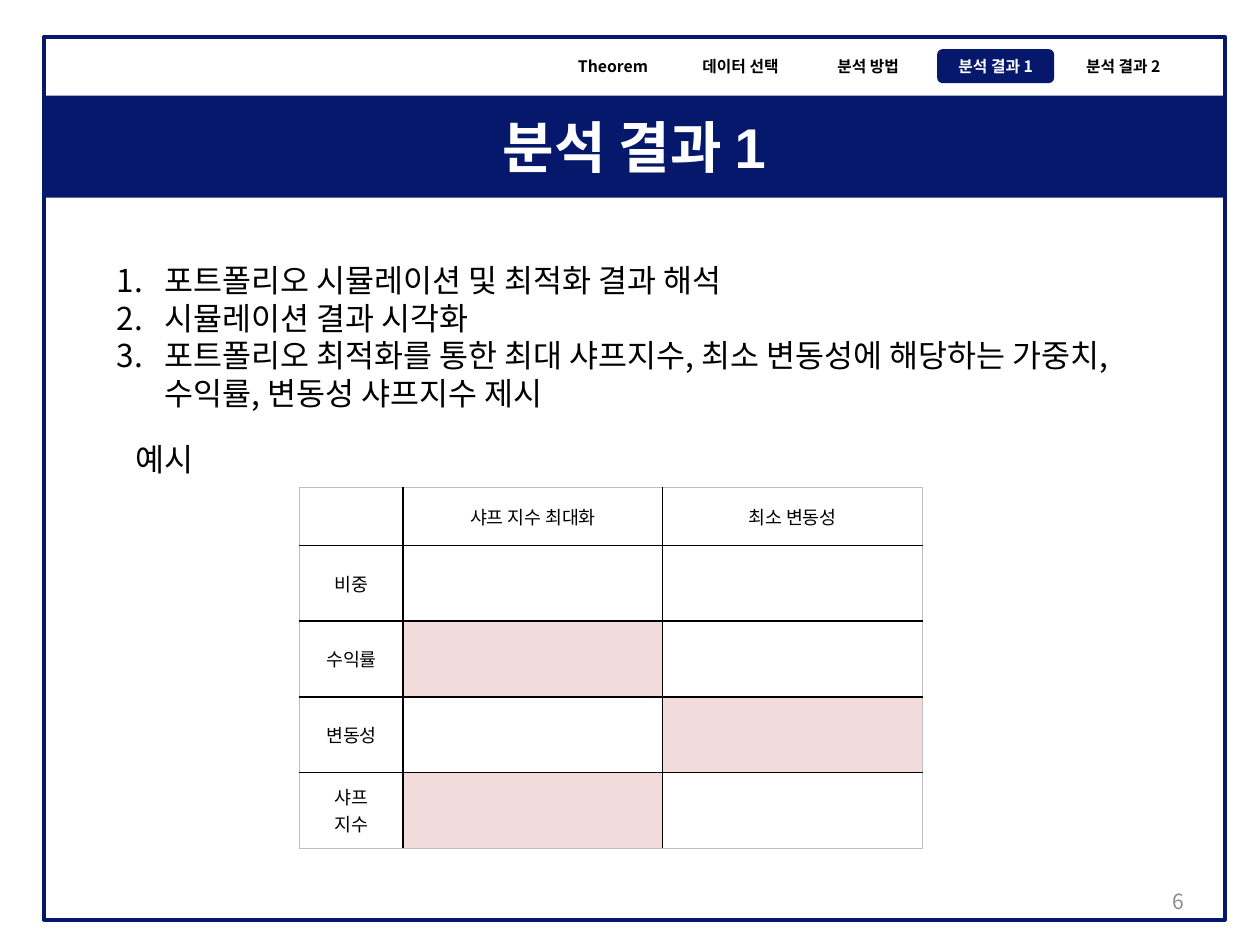
from dataclasses import dataclass

from lxml import etree
from pptx import Presentation
from pptx.dml.color import RGBColor
from pptx.enum.shapes import MSO_SHAPE
from pptx.enum.text import MSO_ANCHOR, MSO_AUTO_SIZE, PP_ALIGN
from pptx.oxml.ns import qn
from pptx.util import Inches, Pt

RECT, ROUND = MSO_SHAPE.RECTANGLE, MSO_SHAPE.ROUNDED_RECTANGLE
LEFT, CENTER, RIGHT = PP_ALIGN.LEFT, PP_ALIGN.CENTER, PP_ALIGN.RIGHT
TOP, MIDDLE = MSO_ANCHOR.TOP, MSO_ANCHOR.MIDDLE
NO_FIT = MSO_AUTO_SIZE.NONE


@dataclass(frozen=True)
class Theme:
    navy: str = "05186B"
    white: str = "FFFFFF"
    black: str = "000000"
    grey: str = "8C8C8C"
    edge: str = "BFBFBF"
    pink: str = "F2DCDB"
    body_font: str = "Noto Sans CJK KR"
    title_font: str = "Arial"
    title_size: float = 32
    body_size: float = 18
    number_size: float = 12
    table_size: float = 10.5
    nav_size: float = 9


T = Theme()


def rgb(value):
    return RGBColor.from_string(value)


def write(tf, lines, size, color=T.black, bold=False, align=LEFT, anchor=TOP,
          font=T.body_font):
    """Fill a text frame with one paragraph per line."""
    tf.word_wrap = True
    tf.vertical_anchor = anchor
    for i, line in enumerate(lines):
        p = tf.paragraphs[0] if i == 0 else tf.add_paragraph()
        p.alignment = align
        r = p.add_run()
        r.text = line
        for name, value in {"name": font, "size": Pt(size), "bold": bold}.items():
            setattr(r.font, name, value)
        r.font.color.rgb = rgb(color)
        ea = etree.SubElement(r.font._element, qn("a:ea"))
        ea.set("typeface", T.body_font)


def add_box(s, kind, box, fill=None, line=None):
    sp = s.shapes.add_shape(kind, *map(Inches, box))
    sp.shadow.inherit = False
    if fill:
        sp.fill.solid()
        sp.fill.fore_color.rgb = rgb(fill)
    else:
        sp.fill.background()
    if line:
        sp.line.color.rgb = rgb(line)
        sp.line.width = Pt(2.25)
    else:
        sp.line.fill.background()
    return sp


def add_text(s, box, lines, size, **formats):
    tf = s.shapes.add_textbox(*map(Inches, box)).text_frame
    write(tf, lines, size, **formats)
    return tf


def add_nav(s, box, labels, active):
    """Row of equal tabs, the active one filled."""
    left, top, width, height = box
    tab, step = 0.93, (width - 0.93) / (len(labels) - 1)
    for i, label in enumerate(labels):
        on = i == active
        sp = add_box(s, ROUND, (left + i * step, top, tab, height),
                     fill=T.navy if on else None)
        tf = sp.text_frame
        tf.margin_left = tf.margin_right = 0
        write(tf, [label], T.nav_size, T.white if on else T.black,
              bold=True, align=CENTER, anchor=MIDDLE)


def add_title(s, box, text):
    """Full-width band with the title in front of it."""
    left, top, width, height = box
    add_box(s, RECT, box, fill=T.navy)
    title = s.shapes.title
    s.shapes._spTree.append(title._element)
    place = {"left": left, "top": top + 0.08, "width": width, "height": height - 0.17}
    for name, value in place.items():
        setattr(title, name, Inches(value))
    title.text_frame.auto_size = NO_FIT
    write(title.text_frame, [text], T.title_size, T.white, bold=True,
          align=CENTER, anchor=MIDDLE, font=T.title_font)


def add_numbered(s, box, lines):
    """Numbered list with a hanging indent."""
    tf = add_text(s, box, lines, T.body_size)
    indent = Inches(0.38)
    for p in tf.paragraphs:
        pPr = p._p.get_or_add_pPr()
        pPr.set("marL", str(indent))
        pPr.set("indent", str(-indent))
        etree.SubElement(pPr, qn("a:buAutoNum")).set("type", "arabicPeriod")


def set_borders(cell, outer):
    """Black inner rules, thin grey outer edge; borders precede the cell fill."""
    tcPr = cell._tc.get_or_add_tcPr()
    for i, side in enumerate(("L", "R", "T", "B")):
        color, width = (T.edge, 0.5) if side in outer else (T.black, 1)
        ln = etree.Element(qn(f"a:ln{side}"), w=str(Pt(width)))
        fill = etree.SubElement(ln, qn("a:solidFill"))
        etree.SubElement(fill, qn("a:srgbClr")).set("val", color)
        tcPr.insert(i, ln)


def add_results(s, box, rows, widths, heights, shaded):
    table = s.shapes.add_table(len(rows), len(widths), *map(Inches, box)).table
    table.first_row = table.horz_banding = False
    for col, width in zip(table.columns, widths):
        col.width = Inches(width)
    for row, height in zip(table.rows, heights):
        row.height = Inches(height)
    for i, row in enumerate(rows):
        for j, text in enumerate(row):
            cell = table.cell(i, j)
            if (i, j) in shaded:
                cell.fill.solid()
                cell.fill.fore_color.rgb = rgb(T.pink)
            else:
                cell.fill.background()
            edges = {"L": j == 0, "R": j == len(widths) - 1,
                     "T": i == 0, "B": i == len(rows) - 1}
            set_borders(cell, {side for side, on in edges.items() if on})
            cell.vertical_anchor = MIDDLE
            if text:
                write(cell.text_frame, text.split("\n"), T.table_size,
                      align=CENTER, anchor=MIDDLE)


def main():
    prs = Presentation()
    prs.slide_width, prs.slide_height = Inches(10), Inches(7.5)
    s = prs.slides.add_slide(prs.slide_layouts[5])

    # Frame, title band and navigation
    add_box(s, RECT, (0.35, 0.29, 9.37, 7.01), line=T.navy)
    add_title(s, (0.35, 0.76, 9.37, 0.81), "분석 결과 1")
    add_nav(s, (4.4, 0.39, 4.98, 0.27),
            ["Theorem", "데이터 선택", "분석 방법", "분석 결과 1", "분석 결과 2"],
            active=3)

    # Body
    add_numbered(s, (0.83, 2.02, 8.58, 1.31), [
        "포트폴리오 시뮬레이션 및 최적화 결과 해석",
        "시뮬레이션 결과 시각화",
        "포트폴리오 최적화를 통한 최대 샤프지수, 최소 변동성에 해당하는 가중치, "
        "수익률, 변동성 샤프지수 제시",
    ])
    add_text(s, (0.98, 3.44, 1.57, 0.4), ["예시"], T.body_size)

    # Example table
    rows = [("", "샤프 지수 최대화", "최소 변동성")]
    rows += [(label, "", "") for label in ("비중", "수익률", "변동성", "샤프\n지수")]
    add_results(s, (2.38, 3.87, 4.94, 2.87), rows, [0.82, 2.06, 2.06],
                [0.46] + [0.6] * 4, shaded={(2, 1), (3, 2), (4, 1)})

    # Page number
    add_text(s, (7.17, 6.95, 2.33, 0.4), ["6"], T.number_size, color=T.grey,
             align=RIGHT, anchor=MIDDLE)

    prs.save("out.pptx")


if __name__ == "__main__":
    main()
